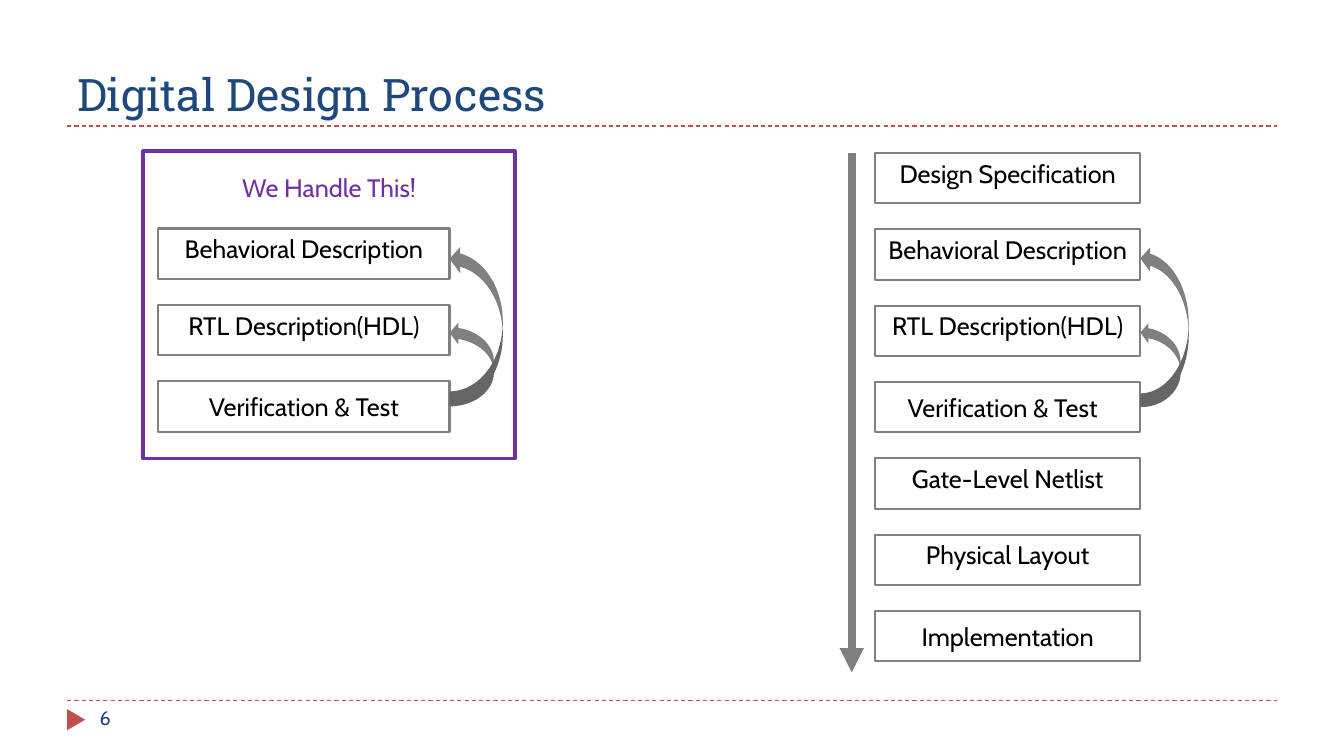
from lxml import etree
from pptx import Presentation
from pptx.dml.color import RGBColor
from pptx.enum.dml import MSO_LINE
from pptx.enum.shapes import MSO_CONNECTOR, MSO_SHAPE as Preset
from pptx.enum.text import MSO_ANCHOR as Anchor, MSO_AUTO_SIZE as AutoSize, PP_ALIGN as Align
from pptx.oxml.ns import qn
from pptx.util import Inches, Pt

COLUMNS, ROWS = 40, 30
NAVY, RED, GREY, PURPLE, BLACK = "1F497D", "C0504D", "808080", "7030A0", "000000"
LAST_CHECK = "Verification & Test"


def color(hex_code):
    return RGBColor.from_string(hex_code)


class ProcessSlide:
    """Places elements by column and row on a 40 x 30 grid."""

    heading_font, text_font = "Roboto Slab", "Cabin"

    def __init__(self, prs):
        self.column = prs.slide_width / COLUMNS
        self.row = prs.slide_height / ROWS
        self.slide = prs.slides.add_slide(prs.slide_layouts[5])
        self.shapes = self.slide.shapes

    def area(self, col, row, cols, rows):
        return (round(col * self.column), round(row * self.row),
                round(cols * self.column), round(rows * self.row))

    def add_words(self, frame, words, size, hex_code, font=None, align=Align.LEFT):
        paragraph = frame.paragraphs[0]
        paragraph.alignment = align
        run = paragraph.add_run()
        run.text = words
        run.font.name = font or self.text_font
        run.font.size = Pt(size)
        run.font.color.rgb = color(hex_code)

    def title(self, words, *cells):
        heading = self.shapes.title
        heading.left, heading.top, heading.width, heading.height = self.area(*cells)
        frame = heading.text_frame
        frame.auto_size = AutoSize.NONE
        frame.vertical_anchor = Anchor.BOTTOM
        self.add_words(frame, words, 32, NAVY, self.heading_font)

    def text(self, words, size, hex_code, *cells):
        frame = self.shapes.add_textbox(*self.area(*cells)).text_frame
        frame.word_wrap = True
        self.add_words(frame, words, size, hex_code)

    def solid(self, preset, hex_code, *cells):
        figure = self.shapes.add_shape(preset, *self.area(*cells))
        figure.shadow.inherit = False
        figure.fill.solid()
        figure.fill.fore_color.rgb = color(hex_code)
        figure.line.fill.background()
        return figure

    def frame(self, words, cells, line, weight, text_color, inset=0.05, shift=0):
        """Outlined box, its label set from the top edge."""
        box = self.shapes.add_shape(Preset.RECTANGLE, *self.area(*cells))
        box.shadow.inherit = False
        box.fill.background()
        box.line.color.rgb = color(line)
        box.line.width = Pt(weight)
        label = box.text_frame
        label.word_wrap = True
        label.vertical_anchor = Anchor.TOP
        label.margin_top, label.margin_bottom = Inches(inset), 0
        label.margin_left = Inches(0.05)
        label.margin_right = Inches(0.05 + 2 * shift)
        self.add_words(label, words, 18, text_color, align=Align.CENTER)

    def line(self, start, end, hex_code, weight, dashed=False, arrow=False):
        x1, y1, x2, y2 = self.area(*start, *end)
        rule = self.shapes.add_connector(MSO_CONNECTOR.STRAIGHT, x1, y1, x2, y2)
        rule.line.color.rgb = color(hex_code)
        rule.line.width = Pt(weight)
        if dashed:
            rule.line.dash_style = MSO_LINE.DASH
        properties = rule._element.spPr
        if arrow:
            outline = properties.find(qn("a:ln"))
            etree.SubElement(outline, qn("a:tailEnd"), type="triangle")
        etree.SubElement(properties, qn("a:effectLst"))

    def loop(self, *cells):
        """Curved arrow leading back up to an earlier step."""
        arrow = self.solid(Preset.CURVED_LEFT_ARROW, GREY, *cells)
        for index, share in enumerate((0.25, 0.5, 0.2)):
            arrow.adjustments[index] = share
        arrow._element.spPr.find(qn("a:xfrm")).set("flipV", "1")

    def steps(self, names, col, row, cols, pitch, low=(), shift=0):
        """Column of step boxes; those named in low have a lower label."""
        for index, name in enumerate(names):
            self.frame(name, (col, row + index * pitch, cols, 2), GREY, 1.5, BLACK,
                       inset=0.1 if name in low else 0.05,
                       shift=shift if name == LAST_CHECK else 0)

    def feedback(self, col, row, scale=1.0):
        """Both loops beside three steps, the first of them at row."""
        self.loop(col, row + 3.7, 1.2 * scale, 3.36)
        self.loop(col, row + 0.67, 1.44 * scale, 6.32)


def main():
    prs = Presentation()
    prs.slide_width, prs.slide_height = Inches(13.33), Inches(7.5)
    page = ProcessSlide(prs)

    # Page furniture
    for rule_row in (27.8, 5):
        page.line((2, rule_row), (38, rule_row), RED, 0.75, dashed=True)
    marker = page.solid(Preset.ISOSCELES_TRIANGLE, RED, 1.95, 28.2, 0.63, 0.72)
    marker.rotation = 90
    page.title("Digital Design Process", 2, 0.68, 36, 4.32)
    page.text("6", 14, NAVY, 2.67, 27.8, 8.67, 1.6)

    # Full process
    handled = ["Behavioral Description", "RTL Description(HDL)", LAST_CHECK]
    process = ["Design Specification", *handled,
               "Gate-Level Netlist", "Physical Layout", "Implementation"]
    page.steps(process, 26.04, 6.07, 7.9, 3.03,
               low=(LAST_CHECK, "Implementation"), shift=0.05)
    page.line((25.35, 6.07), (25.35, 26.68), GREY, 5.75, arrow=True)
    page.feedback(33.94, 9.1)

    # The part handled here
    page.steps(handled, 4.71, 9.07, 8.67, 3.03, low=(LAST_CHECK,))
    page.feedback(13.38, 9.07, 1.1)
    page.frame("We Handle This!", (4.26, 6, 11.07, 12.2), PURPLE, 2.5, PURPLE, inset=0.21)

    prs.save("out.pptx")


if __name__ == "__main__":
    main()
